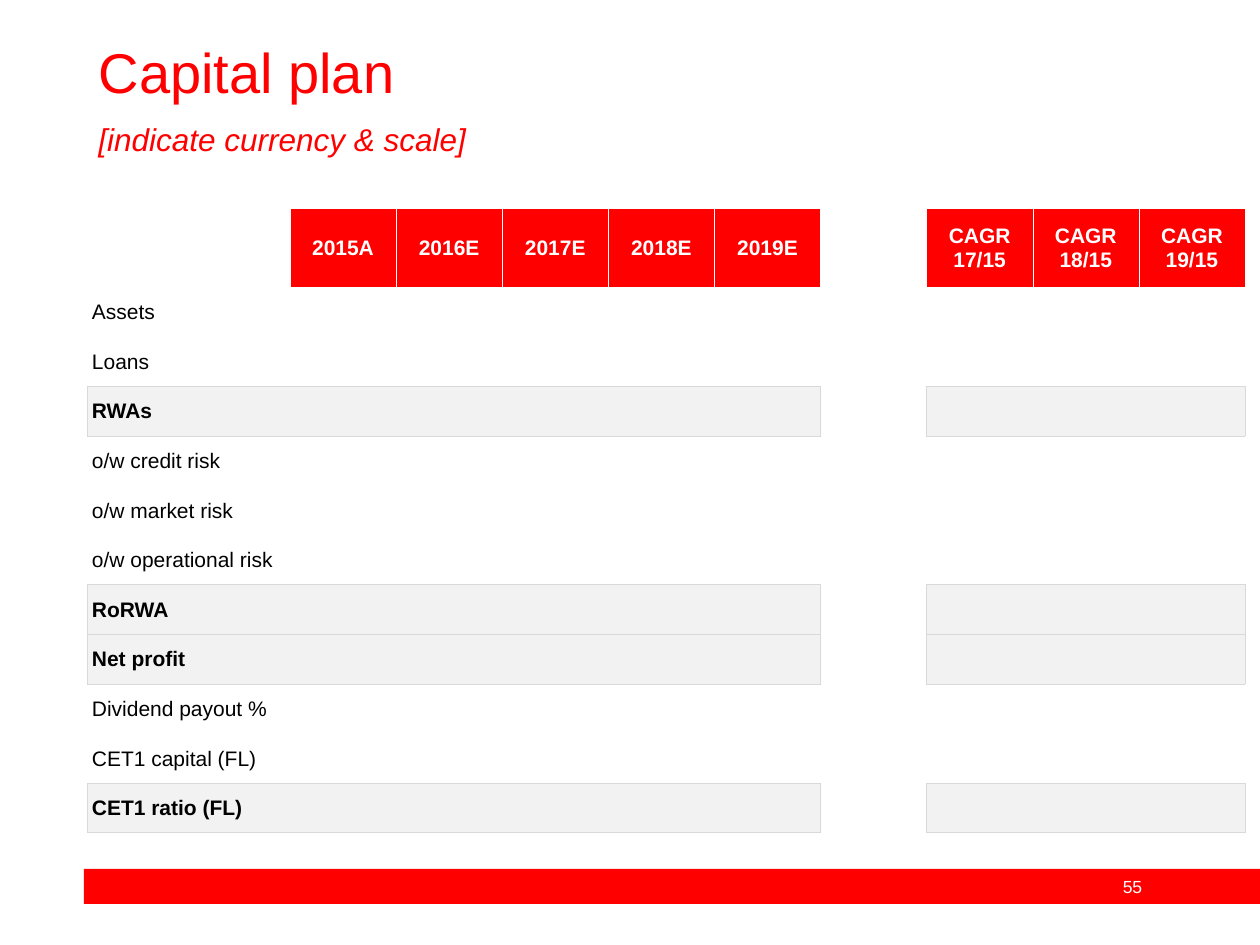
from lxml.etree import SubElement
from pptx import Presentation
from pptx.dml.color import RGBColor
from pptx.enum.shapes import MSO_SHAPE
from pptx.enum.text import MSO_ANCHOR, PP_ALIGN
from pptx.oxml.ns import qn
from pptx.util import Emu, Pt

# Content
TITLE = "Capital plan"
NOTE = "[indicate currency & scale]"
PAGE = "55"
HEADS = ["", "2015A", "2016E", "2017E", "2018E", "2019E", "",
         "CAGR 17/15", "CAGR 18/15", "CAGR 19/15"]
ROWS = ["Assets", "Loans", "RWAs", "o/w credit risk", "o/w market risk",
        "o/w operational risk", "RoRWA", "Net profit", "Dividend payout %",
        "CET1 capital (FL)", "CET1 ratio (FL)"]
KEYS = {"RWAs", "RoRWA", "Net profit", "CET1 ratio (FL)"}
GAP = 6  # blank column between the two blocks

# Look
HEX = {"red": "FF0000", "white": "FFFFFF", "black": "000000",
       "pale": "F2F2F2", "line": "D9D9D9"}
FILL = {"head": "red", "key": "pale"}
PLAIN = "{2D5ABB26-0587-4C30-8999-92F81FD0307C}"  # no style, no grid

# Places in px: left, top, width, height
BAR = (84, 869, 1176, 35)
NUM = (1097, 869, 71, 34)
GRID = (87, 208, 1158, 625)
HEAD = (86, 39, 1086, 72)
SUB = (86, 118, 1087, 52)
LABEL, TOP = 203, 79  # first column width, first row height


def px(n):
    return Emu(round(n * 914400 / 126))


def box(spot):
    return [px(n) for n in spot]


def tint(name):
    return RGBColor.from_string(HEX[name])


def put(frame, text, size, color, align=PP_ALIGN.LEFT, bold=False,
        italic=False):
    para = frame.paragraphs[0]
    para.alignment = align
    run = para.add_run()
    run.text = text
    look = {"name": "Arial", "size": Pt(size), "bold": bold, "italic": italic}
    for key, val in look.items():
        setattr(run.font, key, val)
    run.font.color.rgb = tint(color)
    return para


def kind(r, c):
    if not (0 <= r <= len(ROWS) and 0 <= c < len(HEADS)) or c == GAP:
        return "plain"
    if r == 0:
        return "head" if HEADS[c] else "plain"
    return "key" if ROWS[r - 1] in KEYS else "plain"


def edge(a, b, side):
    if a == b == "key" and side in "LR":
        return None
    if "key" in (a, b):
        return "line"
    return "white" if "head" in (a, b) else None


def rule(props, side, color):
    line = SubElement(props, qn(f"a:ln{side}"), w=str(Pt(0.25)))
    if color:
        fill = SubElement(line, qn("a:solidFill"))
        SubElement(fill, qn("a:srgbClr"), val=HEX[color])
    else:
        SubElement(line, qn("a:noFill"))


def draw_grid(slide):
    item = slide.shapes.add_table(len(ROWS) + 1, len(HEADS), *box(GRID))
    table = item.table
    table.first_row = table.horz_banding = False
    next(item.element.iter(qn("a:tableStyleId"))).text = PLAIN

    # Equal columns and rows after the first of each
    wide = (GRID[2] - LABEL) / (len(HEADS) - 1)
    high = (GRID[3] - TOP) / len(ROWS)
    for c, col in enumerate(table.columns):
        col.width = px(wide if c else LABEL)
    for r, row in enumerate(table.rows):
        row.height = px(high if r else TOP)

    nodes = item.element.iter(qn("a:tc"))
    for n, (cell, node) in enumerate(zip(table.iter_cells(), nodes)):
        r, c = divmod(n, len(HEADS))
        own = kind(r, c)
        form = {"margin_left": px(1 if c else 5), "margin_right": px(1),
                "margin_top": px(1), "margin_bottom": 0,
                "vertical_anchor": MSO_ANCHOR.MIDDLE}
        for key, val in form.items():
            setattr(cell, key, val)
        near = {"L": (r, c - 1), "R": (r, c + 1),
                "T": (r - 1, c), "B": (r + 1, c)}
        for side, spot in near.items():
            rule(node.tcPr, side, edge(own, kind(*spot), side))
        if own in FILL:
            cell.fill.solid()
            cell.fill.fore_color.rgb = tint(FILL[own])
        if own == "head":
            put(cell.text_frame, HEADS[c], 12, "white", PP_ALIGN.CENTER, True)
        elif r and c == 0:
            put(cell.text_frame, ROWS[r - 1], 12, "black", bold=own == "key")


def main():
    deck = Presentation()
    deck.slide_width, deck.slide_height = px(1260), px(945)
    slide = deck.slides.add_slide(deck.slide_layouts[5])

    # Footer bar and page number
    bar = slide.shapes.add_shape(MSO_SHAPE.RECTANGLE, *box(BAR))
    bar.shadow.inherit = False
    bar.fill.solid()
    bar.fill.fore_color.rgb = tint("red")
    bar.line.fill.background()
    num = slide.shapes.add_textbox(*box(NUM)).text_frame
    num.word_wrap = True
    num.vertical_anchor = MSO_ANCHOR.MIDDLE
    put(num, PAGE, 10, "white", PP_ALIGN.CENTER)

    draw_grid(slide)

    # Title and subtitle
    title = slide.shapes.title
    title.left, title.top, title.width, title.height = box(HEAD)
    sub = slide.shapes.add_textbox(*box(SUB))
    for shape, text, size, slant in [(title, TITLE, 32, False),
                                     (sub, NOTE, 18, True)]:
        frame = shape.text_frame
        frame.word_wrap = True
        frame.vertical_anchor = MSO_ANCHOR.TOP
        para = put(frame, text, size, "red", italic=slant)
        para.line_spacing = 0.9

    deck.save("out.pptx")


if __name__ == "__main__":
    main()
